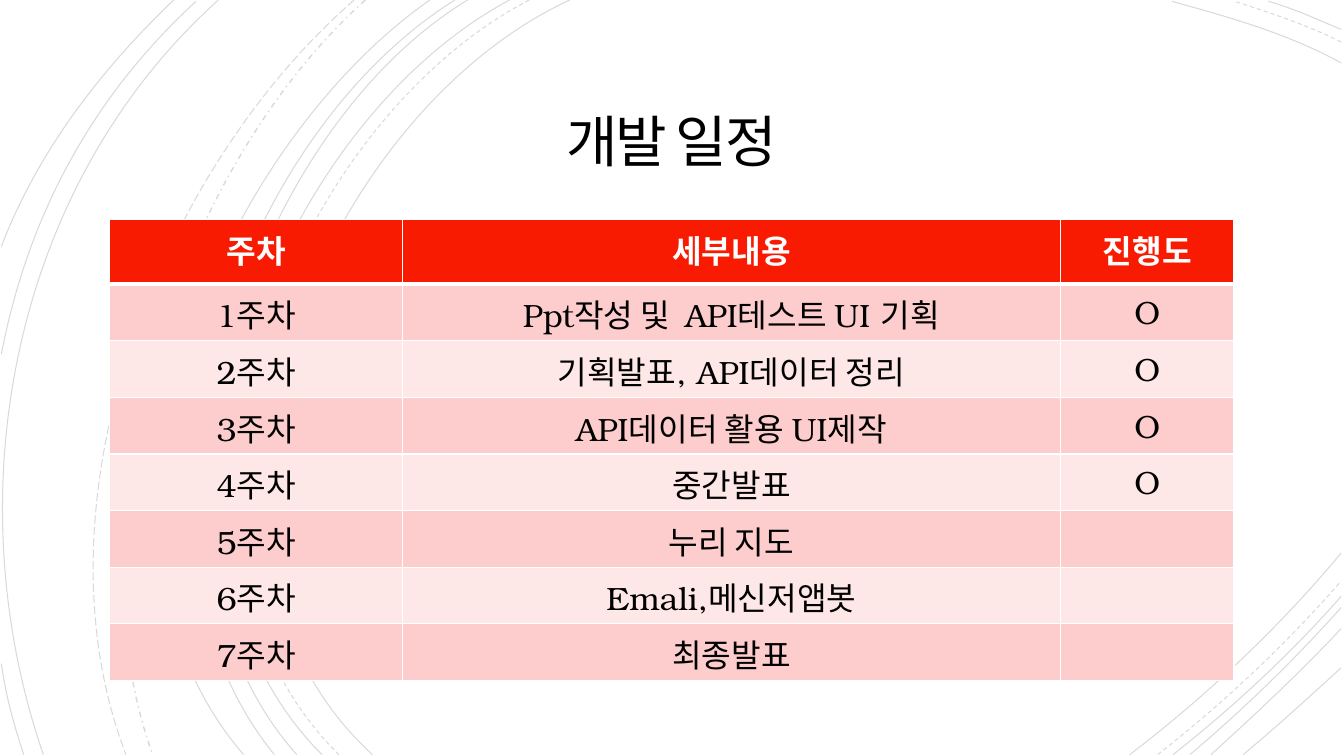
"""Build the development schedule slide."""
from lxml import etree
from pptx import Presentation
from pptx import util as u
from pptx.dml import color
from pptx.enum import dml, text
from pptx.oxml import ns

BLACK = color.RGBColor(0x00, 0x00, 0x00)
WHITE = color.RGBColor(0xFF, 0xFF, 0xFF)
RED = color.RGBColor(0xF8, 0x1B, 0x02)
PINK = color.RGBColor(0xFC, 0xCD, 0xCC)
PALE_PINK = color.RGBColor(0xFE, 0xE8, 0xE7)

SLIDE_BOX = (0, 0, 960, 540)
TITLE_BOX = (138, 62.5, 683.5, 83)
TABLE_BOX = (78.5, 157, 803, 329)

TITLE_FONT = {"name": "Calibri", "size": u.Pt(40)}
HEADER_FONT = {"name": "TeX Gyre Bonum", "size": u.Pt(23), "bold": True}
BODY_FONT = {**HEADER_FONT, "bold": False}
CELL_MARGINS = {"margin_left": u.Pt(9.5), "margin_right": u.Pt(9.5),
                "margin_top": u.Pt(4.5), "margin_bottom": u.Pt(4.5)}
TITLE_FRAME = {"margin_left": u.Pt(18), "margin_right": u.Pt(18),
               "margin_top": u.Pt(18), "margin_bottom": u.Pt(18),
               "word_wrap": True, "vertical_anchor": text.MSO_ANCHOR.MIDDLE}

SOLID = {"width": u.Pt(0.75), "dash_style": dml.MSO_LINE.SOLID}
DASH = {**SOLID, "dash_style": dml.MSO_LINE.DASH}
DASH_DOT = {"width": u.Pt(1), "dash_style": dml.MSO_LINE.DASH_DOT}
LONG_DASH = {**SOLID, "dash_style": dml.MSO_LINE.LONG_DASH}
ARCS = [
    (SOLID, [(407, 0), (227, 83), (103, 389), (266, 539)]),
    (SOLID, [(958, 45), (920, 24), (877, 12), (837, 1)]),
    (SOLID, [(807, 539), (862, 497), (914, 448), (958, 395)]),
    (DASH, [(378, 0), (205, 90), (89, 387), (242, 539)]),
    (DASH, [(958, 30), (934, 18), (907, 9), (882, 1)]),
    (DASH, [(827, 539), (873, 503), (918, 461), (958, 415)]),
    (SOLID, [(364, 0), (194, 91), (79, 387), (230, 539)]),
    (SOLID, [(958, 21), (941, 14), (924, 6), (906, 1)]),
    (SOLID, [(838, 539), (881, 505), (922, 467), (958, 426)]),
    (SOLID, [(334, 0), (176, 96), (79, 390), (212, 539)]),
    (SOLID, [(850, 539), (888, 507), (924, 472), (958, 434)]),
    (SOLID, [(325, 0), (166, 99), (70, 384), (196, 539)]),
    (SOLID, [(865, 539), (897, 510), (929, 480), (958, 449)]),
    (SOLID, [(307, 0), (156, 106), (38, 381), (174, 539)]),
    (SOLID, [(888, 539), (912, 519), (935, 498), (958, 477)]),
    (DASH_DOT, [(261, 0), (127, 120), (47, 366), (109, 539)]),
    (LONG_DASH, [(253, 0), (113, 122), (21, 359), (90, 539)]),
    (SOLID, [(156, 0), (8, 133), (-33, 353), (31, 539)]),
    (SOLID, [(140, 1), (66, 69), (20, 154), (1, 253)]),
    (SOLID, [(1, 474), (4, 496), (10, 518), (17, 539)]),
    (SOLID, [(124, 0), (72, 50), (27, 108), (1, 176)]),
]

COLUMN_WIDTHS = [209, 470, 124]
HEADER_HEIGHT = 46
SCHEDULE = [
    ("주차", "세부내용", "진행도"),
    ("1주차", "Ppt작성 및  API테스트 UI 기획", "O"),
    ("2주차", "기획발표, API데이터 정리", "O"),
    ("3주차", "API데이터 활용 UI제작", "O"),
    ("4주차", "중간발표", "O"),
    ("5주차", "누리 지도", ""),
    ("6주차", "Emali,메신저앱봇", ""),
    ("7주차", "최종발표", ""),
]


def apply(target, values):
    """Set each attribute of the target from the dict of values."""
    for name, value in values.items():
        setattr(target, name, value)


def write(paragraph, words, font, font_color):
    """Write one centred run and return it."""
    paragraph.alignment = text.PP_ALIGN.CENTER
    run = paragraph.add_run()
    run.text = words
    apply(run.font, font)
    run.font.color.rgb = font_color
    return run


def bend(shape):
    """Turn the three segments of a freeform into one cubic curve."""
    segments = list(shape._element.iter(ns.qn("a:lnTo")))
    outline = segments[0].getparent()
    curve = etree.SubElement(outline, ns.qn("a:cubicBezTo"))
    for segment in segments:
        curve.append(segment[0])
        outline.remove(segment)


def draw_arcs(slide, box):
    """Draw the faint background arcs from the corner of the box."""
    left, top = box[:2]
    for style, points in ARCS:
        start, *rest = [(u.Pt(left + x), u.Pt(top + y)) for x, y in points]
        builder = slide.shapes.build_freeform(*start)
        builder.add_line_segments(rest, close=False)
        shape = builder.convert_to_shape()
        bend(shape)
        shape.shadow.inherit = False
        shape.fill.background()
        shape.line.color.rgb = BLACK
        apply(shape.line, style)
        tint = next(shape.line._ln.iter(ns.qn("a:srgbClr")))
        etree.SubElement(tint, ns.qn("a:alpha"), val="15000")


def draw_title(slide, box):
    """Place the slide title in the box."""
    frame = slide.shapes.add_textbox(*map(u.Pt, box)).text_frame
    apply(frame, TITLE_FRAME)
    paragraph = frame.paragraphs[0]
    paragraph.line_spacing = 0.85
    run = write(paragraph, "개발 일정", TITLE_FONT, BLACK)
    run.font._element.set("spc", "-150")


def draw_borders(cell, widths):
    """Give the cell white borders of the given widths."""
    properties = cell._tc.get_or_add_tcPr()
    for index, (side, width) in enumerate(widths.items()):
        line = etree.Element(ns.qn(f"a:ln{side}"), w=str(u.Pt(width)))
        fill = etree.SubElement(line, ns.qn("a:solidFill"))
        etree.SubElement(fill, ns.qn("a:srgbClr"), val=str(WHITE))
        properties.insert(index, line)


def draw_schedule(slide, box):
    """Fill the box with the weekly schedule table."""
    frame = slide.shapes.add_table(len(SCHEDULE), len(COLUMN_WIDTHS), *map(u.Pt, box))
    table = frame.table
    for column, width in zip(table.columns, COLUMN_WIDTHS):
        column.width = u.Pt(width)
    body_height = (box[3] - HEADER_HEIGHT) / (len(SCHEDULE) - 1)
    for index, entries in enumerate(SCHEDULE):
        header = index == 0
        table.rows[index].height = u.Pt(HEADER_HEIGHT if header else body_height)
        fill = RED if header else (PALE_PINK, PINK)[index % 2]
        font, font_color = (HEADER_FONT, WHITE) if header else (BODY_FONT, BLACK)
        borders = {"L": 1, "R": 1, "T": 3 if index == 1 else 1, "B": 3 if header else 1}
        for cell, words in zip(table.rows[index].cells, entries):
            apply(cell, CELL_MARGINS)
            cell.fill.solid()
            cell.fill.fore_color.rgb = fill
            draw_borders(cell, borders)
            if words:
                write(cell.text_frame.paragraphs[0], words, font, font_color)


def main():
    """Assemble and save the presentation."""
    presentation = Presentation()
    presentation.slide_width, presentation.slide_height = map(u.Pt, SLIDE_BOX[2:])
    slide = presentation.slides.add_slide(presentation.slide_layouts[6])
    slide.background.fill.solid()
    slide.background.fill.fore_color.rgb = WHITE
    draw_arcs(slide, SLIDE_BOX)
    draw_title(slide, TITLE_BOX)
    draw_schedule(slide, TABLE_BOX)
    presentation.save("out.pptx")


main()
